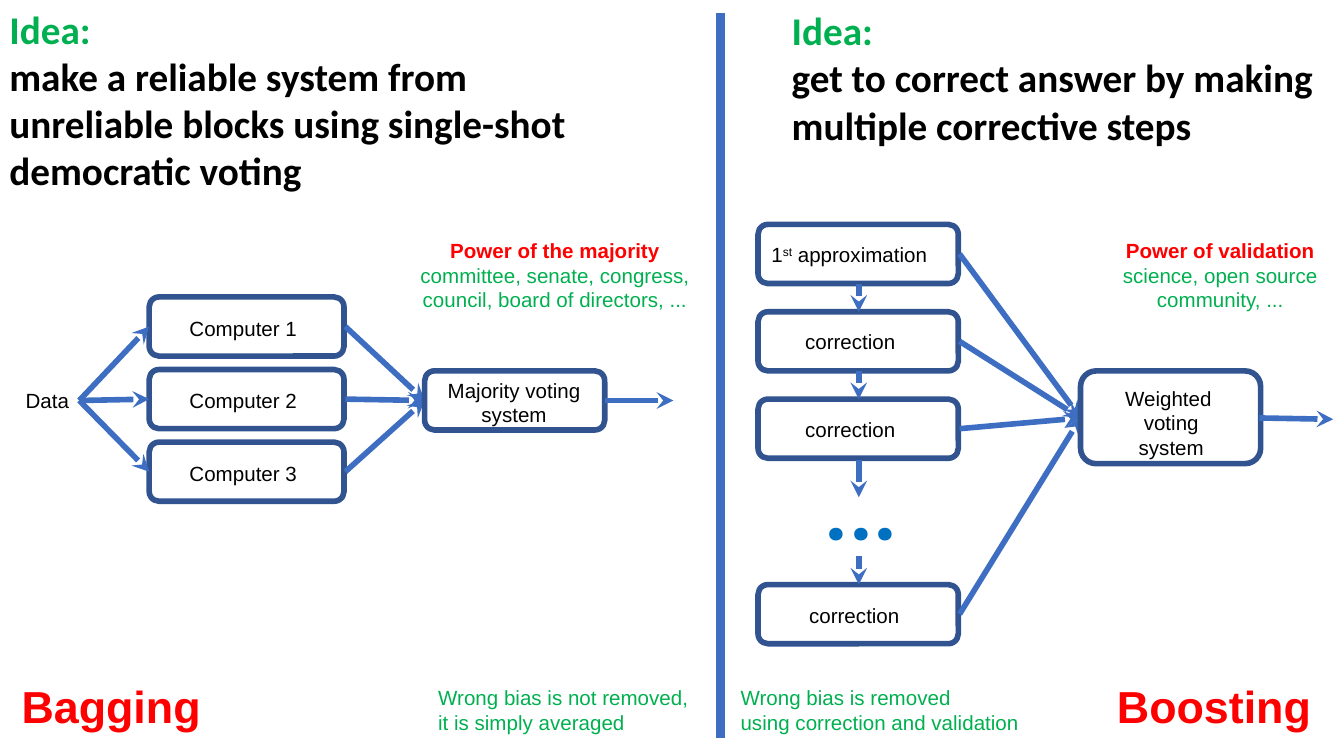
from lxml import etree
from pptx import Presentation
from pptx import util as u
from pptx.dml.color import RGBColor
from pptx.enum import shapes, text
from pptx.oxml.ns import qn

BLACK, GREEN, RED = "000000", "00B050", "FF0000"
ARROW, BORDER, DOTS = "3E6EC2", "31538F", "0070C0"
NODE_HEIGHT = 0.44


def color(hex_string):
    return RGBColor.from_string(hex_string)


def add_text(slide, left, top, width, height, lines, size=11, font="Arial",
             centered=False):
    """Each line is (wording, colour, bold)."""
    label = slide.shapes.add_textbox(*map(u.Inches, (left, top, width, height)))
    frame = label.text_frame
    frame.word_wrap = True
    frame.margin_left = frame.margin_right = u.Inches(0.07)
    frame.margin_top = frame.margin_bottom = u.Inches(0.04)
    frame.text = "\n".join(wording for wording, _, _ in lines)
    for paragraph, (_, hue, bold) in zip(frame.paragraphs, lines):
        paragraph.alignment = text.PP_ALIGN.CENTER if centered else text.PP_ALIGN.LEFT
        for run in paragraph.runs:
            run.font.size, run.font.name = u.Pt(size), font
            run.font.bold, run.font.color.rgb = bold, color(hue)
    return label


def add_node(slide, left, top, width, height=NODE_HEIGHT):
    node = slide.shapes.add_shape(shapes.MSO_SHAPE.ROUNDED_RECTANGLE,
                                  *map(u.Inches, (left, top, width, height)))
    node.shadow.inherit = False
    node.fill.background()
    node.line.color.rgb = color(BORDER)
    node.line.width = u.Pt(3)


def add_line(slide, start, end, width=3, arrow=True):
    line = slide.shapes.add_connector(shapes.MSO_CONNECTOR.STRAIGHT,
                                      *map(u.Inches, (*start, *end)))
    line.line.color.rgb = color(ARROW)
    line.line.width = u.Pt(width)
    if arrow:
        etree.SubElement(line.line._get_or_add_ln(), qn("a:tailEnd"), type="stealth")
    etree.SubElement(line._element.spPr, qn("a:effectLst"))


def add_idea(slide, left, top, width, height, idea):
    add_text(slide, left, top, width, height,
             [("Idea:", GREEN, True), (idea, BLACK, True)], 21, "Calibri")


def add_power(slide, left, top, width, title, examples):
    add_text(slide, left, top, width, 0.63,
             [(title, RED, True), (examples, GREEN, False)], centered=True)


def add_footer(slide, top, name, name_left, remark, remark_left, remark_width):
    add_text(slide, name_left, top, 1.68, 0.48, [(name, RED, True)], 24)
    add_text(slide, remark_left, top + 0.05, remark_width, 0.45,
             [(line, GREEN, False) for line in remark])


def add_bagging(slide, left, top):
    add_idea(slide, left, top, 4.46, 1.45,
             "make a reliable system from unreliable blocks using single-shot "
             "democratic voting")
    add_power(slide, left + 3, top + 1.73, 2.26, "Power of the majority",
              "committee, senate, congress, council, board of directors, ...")

    # Data fans out to the computers, whose votes meet again
    middle = top + 2.98
    data_exit, vote_entry = (left + 0.59, middle), (left + 3.16, middle)
    add_text(slide, left + 0.12, middle - 0.13, 0.48, 0.26, [("Data", BLACK, False)])
    for number in range(1, 4):
        node_top = top + 2.21 + (number - 1) * 0.54
        center = node_top + NODE_HEIGHT / 2
        add_node(slide, left + 1.11, node_top, 1.45)
        add_text(slide, left + 1.34, node_top + 0.1, 1, 0.26,
                 [(f"Computer {number}", BLACK, False)])
        add_line(slide, data_exit, (left + 1.11, center))
        add_line(slide, (left + 2.57, center), vote_entry)

    # Majority vote
    add_node(slide, left + 3.16, top + 2.76, 1.34)
    add_text(slide, left + 3.24, top + 2.77, 1.17, 0.45,
             [("Majority voting", BLACK, False), ("system", BLACK, False)],
             centered=True)
    add_line(slide, (left + 4.5, middle), (left + 5.01, middle))

    add_footer(slide, top + 5.01, "Bagging", left + 0.09,
               ["Wrong bias is not removed,", "it is simply averaged"],
               left + 3.19, 2.07)


def add_boosting(slide, left, top):
    add_idea(slide, left + 0.46, top + 0.01, 4.18, 1.19,
             "get to correct answer by making multiple corrective steps")
    add_power(slide, left + 2.84, top + 1.73, 1.76, "Power of validation",
              "science, open source community, ...")

    # Chain of steps, each feeding the weighted vote
    chain_x, vote_entry = left + 1.03, (left + 2.68, top + 3.11)
    step_tops = [top + 1.67 + step * 0.65 for step in range(3)] + [top + 4.35]
    for step_top in step_tops:
        add_node(slide, left + 0.28, step_top, 1.49)
        add_line(slide, (left + 1.78, step_top + NODE_HEIGHT / 2), vote_entry)
    for step_top in step_tops[1:]:
        add_line(slide, (chain_x, step_top - 0.21), (chain_x, step_top))
    label_offsets = ((0.56, 0.09), (0.56, 0.09), (0.59, 0.1))
    for step_top, (label_left, label_top) in zip(step_tops[1:], label_offsets):
        add_text(slide, left + label_left, step_top + label_top, 0.89, 0.26,
                 [("correction", BLACK, False)])

    # First step, with a raised ordinal ending
    first = add_text(slide, left + 0.31, step_tops[0] + 0.09, 1.46, 0.26,
                     [("1", BLACK, False)]).text_frame.paragraphs[0]
    for wording, baseline in (("st", "30000"), (" approximation", "0")):
        run = first.add_run()
        run.text = wording
        run.font.size, run.font.name = u.Pt(11), "Arial"
        run.font.color.rgb = color(BLACK)
        run._r.get_or_add_rPr().set("baseline", baseline)

    # Omitted steps
    add_line(slide, (chain_x, top + 3.42), (chain_x, top + 3.7))
    add_text(slide, left + 0.65, top + 3.36, 0.8, 0.83, [("...", DOTS, True)],
             45, "Roboto", centered=True)

    # Weighted vote
    add_node(slide, left + 2.68, top + 2.76, 1.34, 0.69)
    add_text(slide, left + 2.72, top + 2.83, 1.27, 0.63,
             [(word, BLACK, False) for word in ("Weighted ", "voting", "system")],
             centered=True)
    add_line(slide, (left + 4.01, top + 3.11), (left + 4.56, top + 3.12))

    add_footer(slide, top + 5.01, "Boosting", left + 2.88,
               ["Wrong bias is removed", "using correction and validation"],
               left + 0.08, 2.28)


def main():
    deck = Presentation()
    deck.slide_width = u.Inches(10)
    deck.slide_height = deck.slide_width * 9 // 16
    slide = deck.slides.add_slide(deck.slide_layouts[6])
    divider_x = 5.36
    add_bagging(slide, 0, 0)
    add_boosting(slide, divider_x, 0)
    add_line(slide, (divider_x, 0.1), (divider_x, 5.49), width=5, arrow=False)
    deck.save("out.pptx")


if __name__ == "__main__":
    main()
